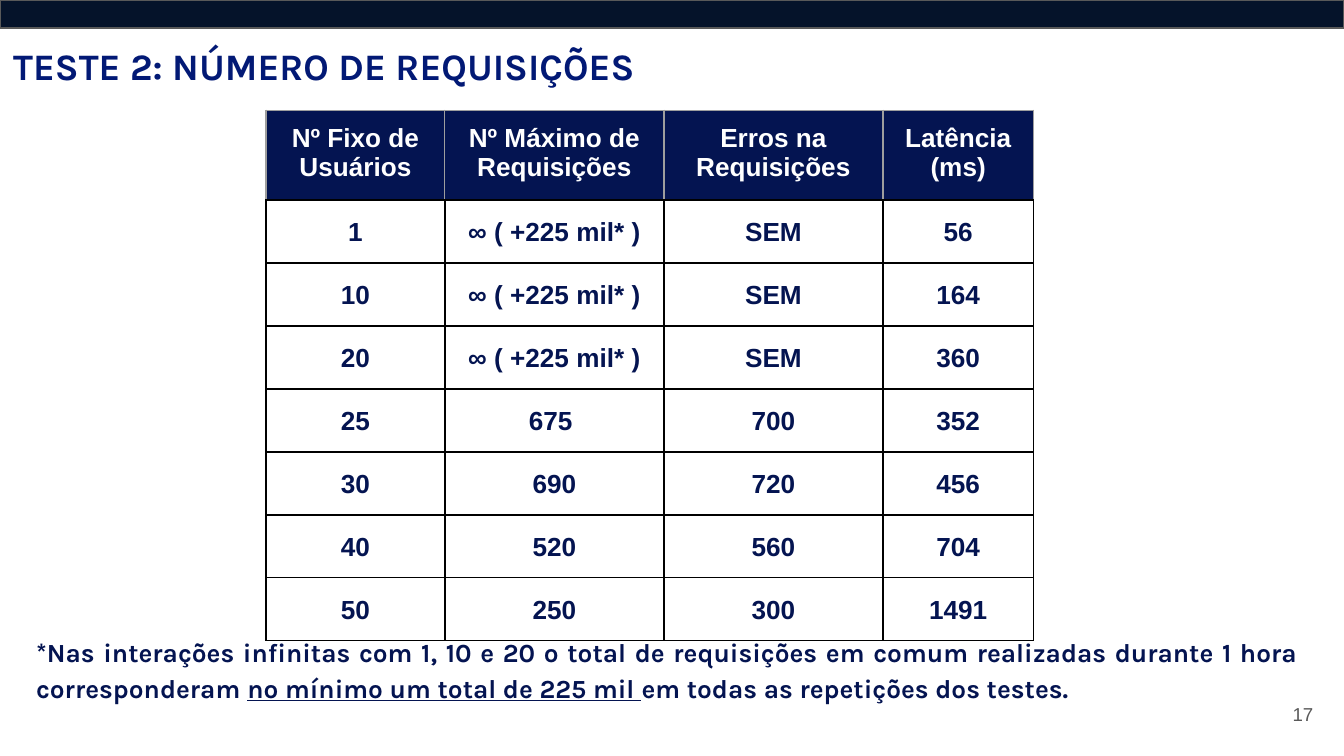
from lxml import etree
from pptx import Presentation
from pptx.dml.color import RGBColor
from pptx.enum.shapes import MSO_SHAPE
from pptx.enum.text import MSO_ANCHOR, MSO_AUTO_SIZE, PP_ALIGN
from pptx.oxml.ns import qn
from pptx.util import Inches, Pt

RECT = MSO_SHAPE.RECTANGLE
MIDDLE = MSO_ANCHOR.MIDDLE
GROW = MSO_AUTO_SIZE.SHAPE_TO_FIT_TEXT
LEFT, CENTER, RIGHT, JUSTIFY = (
    PP_ALIGN.LEFT, PP_ALIGN.CENTER, PP_ALIGN.RIGHT, PP_ALIGN.JUSTIFY)

# Content
TITLE = "TESTE 2: NÚMERO DE REQUISIÇÕES"
PAGE = "17"
HEADER = ["Nº Fixo de Usuários", "Nº Máximo de Requisições",
          "Erros na Requisições", "Latência (ms)"]
UNLIMITED = "∞ ( +225 mil* )"
RESULTS = [
    ["1", UNLIMITED, "SEM", "56"],
    ["10", UNLIMITED, "SEM", "164"],
    ["20", UNLIMITED, "SEM", "360"],
    ["25", "675 ", "700", "352"],
    ["30", "690", "720", "456"],
    ["40", "520", "560", "704"],
    ["50", "250", "300", "1491"],
]
NOTE = [  # text, underlined
    ("*Nas interações infinitas com 1, 10 e 20 o total de requisições em "
     "comum realizadas durante 1 hora corresponderam ", False),
    ("no mínimo um total de 225 mil ", True),
    ("em todas as repetições dos testes.", False),
]

# Style
COLORS = {"bar": "05132A", "gray": "595959", "title": "021975",
          "navy": "041451", "white": "FFFFFF", "grid": "000000",
          "header_grid": "9E9E9E"}
SLIDE_WIDTH = 10
SLIDE_HEIGHT = SLIDE_WIDTH * 9 / 16
COL_WIDTHS = [1.33, 1.63, 1.63, 1.12]
ROW_HEIGHT = 0.42
MARGIN = 0.1


def rgb(name):
    return RGBColor.from_string(COLORS[name])


def set_margins(target, side):
    target.margin_left = target.margin_right = Inches(side)
    target.margin_top = target.margin_bottom = Inches(MARGIN)


def add_run(p, text, size, font, color, bold=True, underline=False):
    r = p.add_run()
    r.text = text
    r.font.size, r.font.name = Pt(size), font
    r.font.color.rgb = rgb(color)
    r.font.bold = bold
    if underline:
        r.font.underline = True


def add_textbox(slide, box, align):
    tf = slide.shapes.add_textbox(*map(Inches, box)).text_frame
    tf.word_wrap = True
    set_margins(tf, MARGIN)
    p = tf.paragraphs[0]
    p.alignment = align
    return tf, p


def space_paragraph(p):
    p.line_spacing = 1.15
    p.space_before = p.space_after = Pt(12)


def set_borders(cell, sides):
    tcPr = cell._tc.get_or_add_tcPr()
    for i, (tag, (color, width)) in enumerate(sides.items()):
        ln = etree.Element(qn(f"a:{tag}"), w=str(Pt(width)))
        fill = etree.SubElement(ln, qn("a:solidFill"))
        etree.SubElement(fill, qn("a:srgbClr"), val=COLORS[color])
        tcPr.insert(i, ln)


prs = Presentation()
prs.slide_width, prs.slide_height = Inches(SLIDE_WIDTH), Inches(SLIDE_HEIGHT)
s = prs.slides.add_slide(prs.slide_layouts[6])

# Top bar
bar = s.shapes.add_shape(RECT, 0, 0, prs.slide_width, Inches(0.21))
bar.shadow.inherit = False
bar.fill.solid()
bar.fill.fore_color.rgb = rgb("bar")
bar.line.color.rgb = rgb("gray")
bar.line.width = Pt(0.75)

# Title and page number
tf, p = add_textbox(s, (0, 0.22, 5.25, 0.54), LEFT)
tf.auto_size = GROW
add_run(p, TITLE, 20, "Karla", "title")

tf, p = add_textbox(s, (9.27, 5.1, 0.6, 0.43), RIGHT)
tf.vertical_anchor = MIDDLE
add_run(p, PAGE, 10, "Arial", "gray", bold=False)

# Results table
rows = [HEADER] + RESULTS
table = s.shapes.add_table(
    len(rows), len(HEADER), Inches(1.98), Inches(0.82),
    Inches(sum(COL_WIDTHS)), Inches(ROW_HEIGHT * len(rows))).table
for column, width in zip(table.columns, COL_WIDTHS):
    column.width = Inches(width)

body_borders = dict.fromkeys(("lnL", "lnR", "lnT", "lnB"), ("grid", 1))
header_borders = {**dict.fromkeys(("lnL", "lnR", "lnT"), ("header_grid", 0.75)),
                  "lnB": ("grid", 1)}
for i, row in enumerate(rows):
    is_header = i == 0
    table.rows[i].height = Inches(ROW_HEIGHT)
    for j, text in enumerate(row):
        cell = table.cell(i, j)
        set_margins(cell, MARGIN if is_header else 0.07)
        p = cell.text_frame.paragraphs[0]
        p.alignment = CENTER
        if is_header:
            cell.fill.solid()
            cell.fill.fore_color.rgb = rgb("navy")
        else:
            cell.fill.background()
            space_paragraph(p)
        add_run(p, text, 14, "Arial", "white" if is_header else "navy")
        set_borders(cell, header_borders if is_header else body_borders)

# Footnote
tf, p = add_textbox(s, (0.17, 4.6, 9.59, 0.71), JUSTIFY)
tf.auto_size = GROW
space_paragraph(p)
for text, underline in NOTE:
    add_run(p, text, 14, "Karla", "navy", underline=underline)

prs.save("out.pptx")
